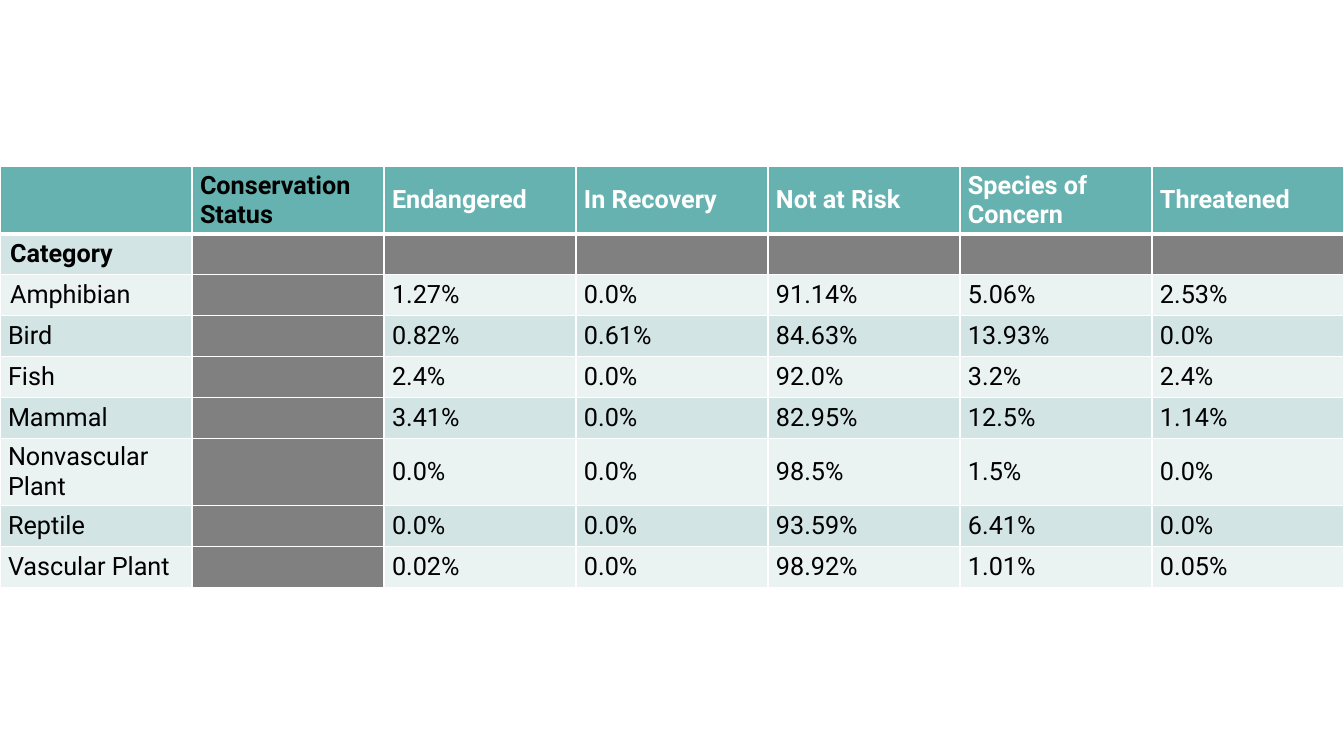
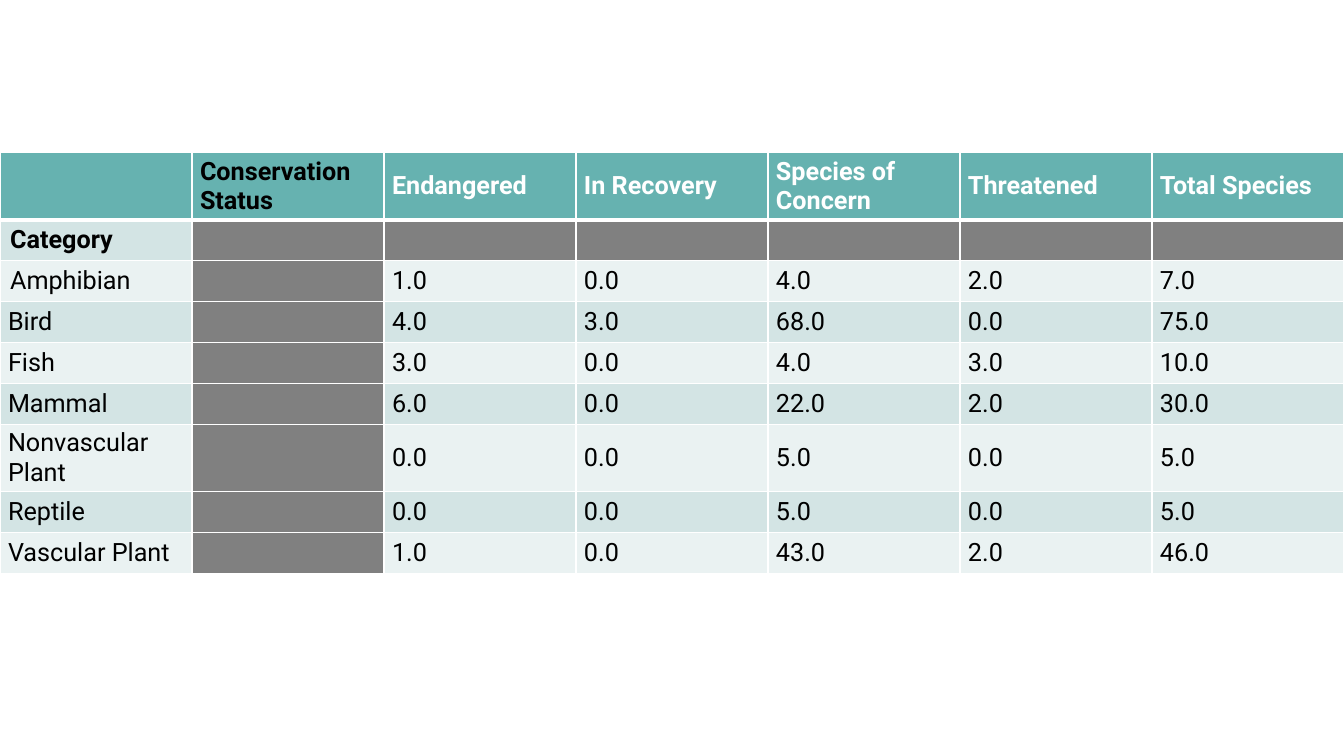
from dataclasses import dataclass

from lxml import etree
from pptx import Presentation
from pptx.dml.color import RGBColor
from pptx.enum import text
from pptx.oxml import ns
from pptx.util import Pt


@dataclass(frozen=True)
class Theme:
    font: str = "Roboto"
    size: float = 18
    header: str = "66B2B0"
    bands: tuple = ("D3E4E4", "EAF2F2")
    blocked: str = "808080"
    ink: str = "000000"
    white: str = "FFFFFF"
    rule: float = 1
    header_rule: float = 3


THEME = Theme()

# Content
CATEGORIES = ["Amphibian", "Bird", "Fish", "Mammal", "Nonvascular Plant",
              "Reptile", "Vascular Plant"]
TABLES = [
    {
        "top": 119,
        "statuses": ["Endangered", "In Recovery", "Not at Risk",
                     "Species of Concern", "Threatened"],
        "values": [
            ["1.27%", "0.0%", "91.14%", "5.06%", "2.53%"],
            ["0.82%", "0.61%", "84.63%", "13.93%", "0.0%"],
            ["2.4%", "0.0%", "92.0%", "3.2%", "2.4%"],
            ["3.41%", "0.0%", "82.95%", "12.5%", "1.14%"],
            ["0.0%", "0.0%", "98.5%", "1.5%", "0.0%"],
            ["0.0%", "0.0%", "93.59%", "6.41%", "0.0%"],
            ["0.02%", "0.0%", "98.92%", "1.01%", "0.05%"],
        ],
    },
    {
        "top": 109,
        "statuses": ["Endangered", "In Recovery", "Species of Concern",
                     "Threatened", "Total Species"],
        "values": [
            ["1.0", "0.0", "4.0", "2.0", "7.0"],
            ["4.0", "3.0", "68.0", "0.0", "75.0"],
            ["3.0", "0.0", "4.0", "3.0", "10.0"],
            ["6.0", "0.0", "22.0", "2.0", "30.0"],
            ["0.0", "0.0", "5.0", "0.0", "5.0"],
            ["0.0", "0.0", "5.0", "0.0", "5.0"],
            ["1.0", "0.0", "43.0", "2.0", "46.0"],
        ],
    },
]

# Layout, in points
SLIDE_WIDTH, SLIDE_HEIGHT = 960, 540
ROW_HEIGHT, TWO_LINE_HEIGHT = 29.25, 48
TWO_LINE_ROWS = (0, 2 + CATEGORIES.index("Nonvascular Plant"))
INSET_X, INSET_Y = 5.75, 2.9


def add_borders(cell, row):
    """Draw white rules round a cell, heavier below the header."""
    heavy = {0: "lnB", 1: "lnT"}.get(row)
    properties = cell._tc.get_or_add_tcPr()
    for side in ("lnL", "lnR", "lnT", "lnB"):
        width = THEME.header_rule if side == heavy else THEME.rule
        line = etree.SubElement(properties, ns.qn(f"a:{side}"), w=str(Pt(width)))
        fill = etree.SubElement(line, ns.qn("a:solidFill"))
        etree.SubElement(fill, ns.qn("a:srgbClr"), val=THEME.white)


def fill_colour(row, column):
    if row == 0:
        return THEME.header
    if column == 1 or (row == 1 and column > 0):
        return THEME.blocked
    return THEME.bands[(row - 1) % 2]


def format_cell(cell, row, column, words):
    add_borders(cell, row)
    cell.fill.solid()
    cell.fill.fore_color.rgb = RGBColor.from_string(fill_colour(row, column))
    cell.text = words
    # The first two row labels keep the default top anchor and margins
    if column > 0 or row not in (1, 2):
        cell.vertical_anchor = text.MSO_ANCHOR.MIDDLE
        cell.margin_left = cell.margin_right = Pt(INSET_X)
        cell.margin_top = cell.margin_bottom = Pt(INSET_Y)
    font = cell.text_frame.paragraphs[0].font
    font.name, font.size, font.bold = THEME.font, Pt(THEME.size), row < 2
    colour = THEME.white if row == 0 and column > 1 else THEME.ink
    font.color.rgb = RGBColor.from_string(colour)


def add_status_table(slide, content):
    grid = [["", "Conservation Status", *content["statuses"]],
            ["Category"] + [""] * (1 + len(content["statuses"]))]
    grid += [[category, "", *values]
             for category, values in zip(CATEGORIES, content["values"])]
    heights = [TWO_LINE_HEIGHT if row in TWO_LINE_ROWS else ROW_HEIGHT
               for row in range(len(grid))]
    table = slide.shapes.add_table(
        len(grid), len(grid[0]), Pt(0), Pt(content["top"]),
        Pt(SLIDE_WIDTH), Pt(sum(heights))).table
    for table_row, height in zip(table.rows, heights):
        table_row.height = Pt(height)
    for row, entries in enumerate(grid):
        for column, words in enumerate(entries):
            format_cell(table.cell(row, column), row, column, words)


def main():
    deck = Presentation()
    deck.slide_width, deck.slide_height = Pt(SLIDE_WIDTH), Pt(SLIDE_HEIGHT)
    blank = deck.slide_layouts[6]
    for content in TABLES:
        add_status_table(deck.slides.add_slide(blank), content)
    deck.save("out.pptx")


if __name__ == "__main__":
    main()
